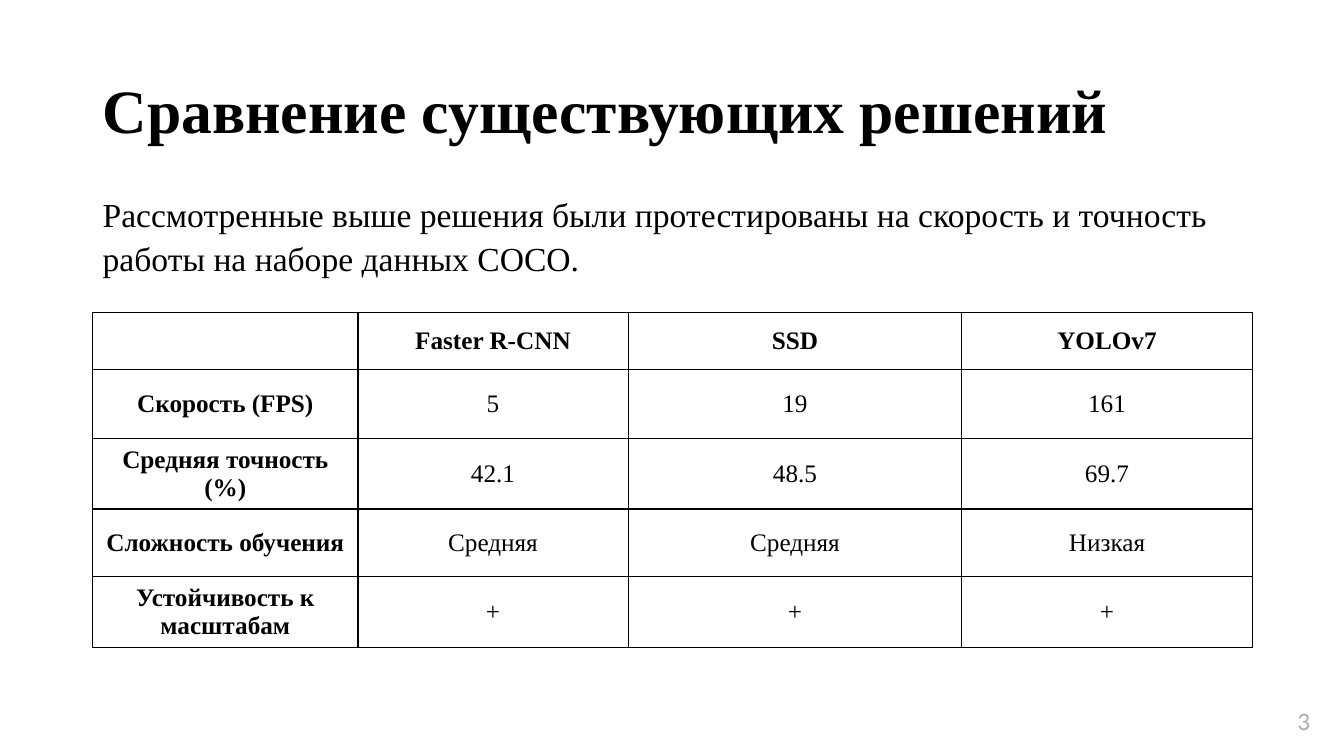
"""Build the slide comparing object detection solutions."""
from dataclasses import dataclass

from lxml.etree import SubElement
from pptx import Presentation
from pptx.dml.color import RGBColor
from pptx.enum.text import MSO_ANCHOR as Anchor, PP_ALIGN as Align
from pptx.oxml.ns import qn
from pptx.util import Inches, Pt


@dataclass(frozen=True)
class Theme:
    serif: str = "Times New Roman"
    sans: str = "Calibri"
    ink: str = "000000"
    muted: str = "AFABAB"
    title_size: int = 44
    body_size: int = 24
    small_size: int = 18
    border_width: int = 1


THEME = Theme()
LEFT, CONTENT_WIDTH = 0.92, 11.5
COLUMN_WIDTHS = [2.63, 2.68, 3.31, 2.88]
ROW_HEIGHTS = [0.57, 0.68, 0.66, 0.67, 0.66]
COMPARISON = [
    ["", "Faster R-CNN", "SSD", "YOLOv7"],
    ["Скорость (FPS)", "5", "19", "161"],
    ["Средняя точность (%)", "42.1", "48.5", "69.7"],
    ["Сложность обучения", "Средняя", "Средняя", "Низкая"],
    ["Устойчивость к масштабам", "+", "+", "+"],
]


def style_font(font, size, name=THEME.serif, color=THEME.ink, bold=False):
    font.size = Pt(size)
    font.name = name
    font.bold = bold
    font.color.rgb = RGBColor.from_string(color)


def add_label(slide, text, box, size, anchor=Anchor.TOP, spacing=1.0, **font_style):
    frame = slide.shapes.add_textbox(*map(Inches, box)).text_frame
    frame.word_wrap = True
    frame.vertical_anchor = anchor
    frame.text = text
    paragraph = frame.paragraphs[0]
    paragraph.line_spacing = spacing
    style_font(paragraph.runs[0].font, size, **font_style)


def add_borders(cell):
    properties = cell._tc.get_or_add_tcPr()
    for position, side in enumerate(("a:lnL", "a:lnR", "a:lnT", "a:lnB")):
        line = SubElement(properties, qn(side), w=str(Pt(THEME.border_width)))
        properties.insert(position, line)
        fill = SubElement(line, qn("a:solidFill"))
        SubElement(fill, qn("a:srgbClr"), val=THEME.ink)


def fill_cell(cell, text, bold):
    cell.fill.background()
    cell.vertical_anchor = Anchor.MIDDLE
    add_borders(cell)
    cell.text = text
    paragraph = cell.text_frame.paragraphs[0]
    paragraph.alignment = Align.CENTER
    for run in paragraph.runs:
        style_font(run.font, THEME.small_size, bold=bold)


def add_comparison(slide, top):
    box = (LEFT, top, sum(COLUMN_WIDTHS), sum(ROW_HEIGHTS))
    table = slide.shapes.add_table(
        len(ROW_HEIGHTS), len(COLUMN_WIDTHS), *map(Inches, box)
    ).table
    table.horz_banding = False
    for column, width in zip(table.columns, COLUMN_WIDTHS):
        column.width = Inches(width)
    for row, height in zip(table.rows, ROW_HEIGHTS):
        row.height = Inches(height)
    for r, values in enumerate(COMPARISON):
        for c, value in enumerate(values):
            fill_cell(table.cell(r, c), value, bold=r == 0 or c == 0)


def main():
    deck = Presentation()
    deck.slide_width, deck.slide_height = Inches(13.33), Inches(7.5)
    slide = deck.slides.add_slide(deck.slide_layouts[6])
    add_label(slide, "Сравнение существующих решений", (LEFT, 0.4, CONTENT_WIDTH, 1.45),
              THEME.title_size, anchor=Anchor.MIDDLE, spacing=0.9, bold=True)
    add_comparison(slide, top=3.1)
    add_label(slide, "Рассмотренные выше решения были протестированы на скорость и точность "
              "работы на наборе данных COCO.", (LEFT, 1.85, CONTENT_WIDTH, 0.91),
              THEME.body_size, spacing=1.07)
    add_label(slide, "3", (12.77, 6.95, 0.37, 0.4), THEME.small_size,
              name=THEME.sans, color=THEME.muted)
    deck.save("out.pptx")


if __name__ == "__main__":
    main()
